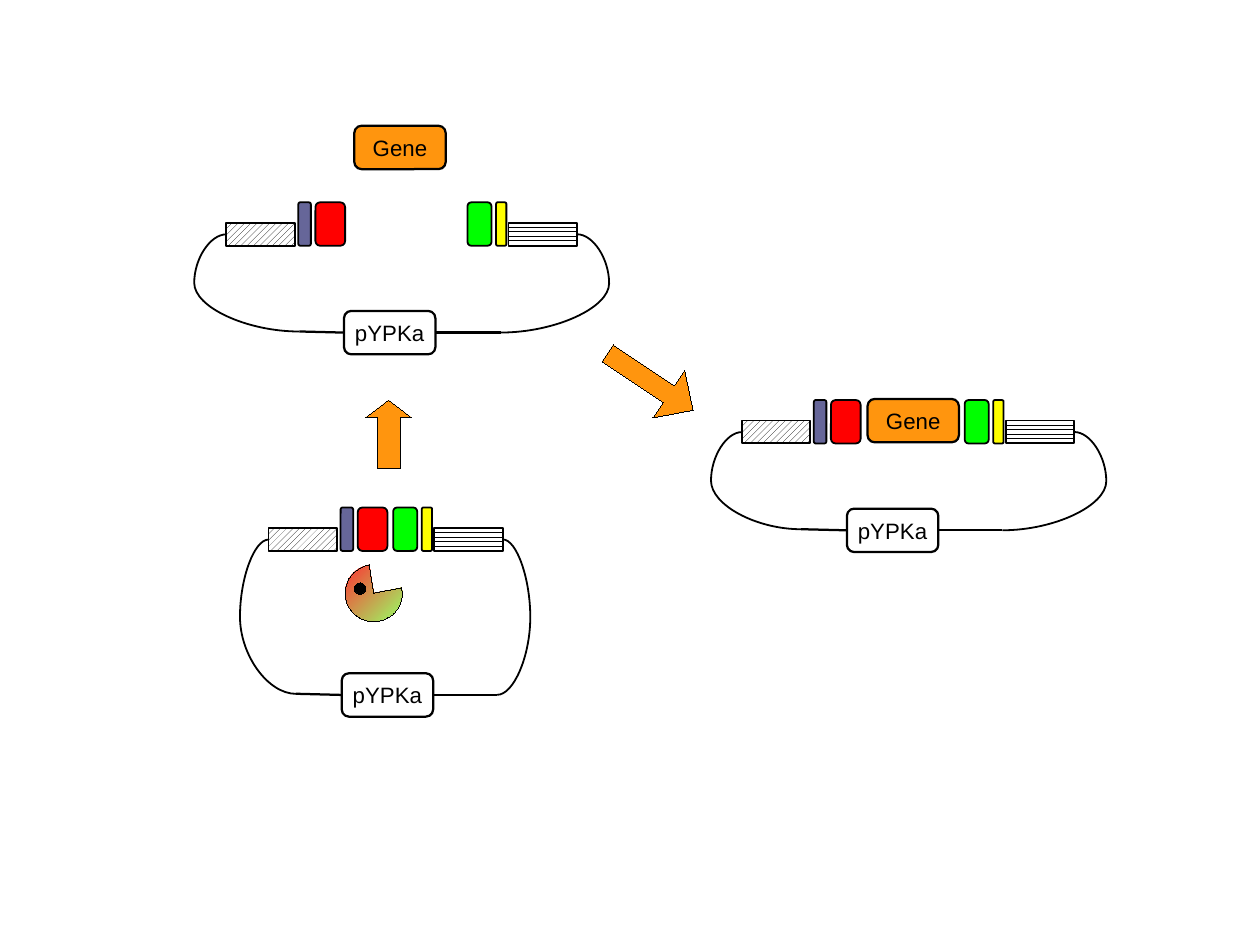
"""Gene cloning into the pYPKa plasmid: cut, insert, and joined product."""
from pptx import Presentation
from pptx.dml.color import RGBColor as RGB
from pptx.enum.dml import MSO_PATTERN as Hatch
from pptx.enum.shapes import MSO_CONNECTOR as Link, MSO_SHAPE as Kind
from pptx.enum.text import MSO_ANCHOR as Anchor, PP_ALIGN as Align
from pptx.oxml.ns import qn
from pptx.util import Inches, Pt
from lxml import etree

INK = {
    "black": "000000", "white": "FFFFFF", "gene": "FF950E",
    "violet": "666699", "red": "FF0000", "green": "00FF00",
    "yellow": "FFFF00", "warm": "FF3333", "fresh": "99FF66",
}
HAIR, THIN, THICK = 0.01, 1.13, 1.42

deck = Presentation()
deck.slide_width, deck.slide_height = Inches(28 / 2.54), Inches(21 / 2.54)
slide = deck.slides.add_slide(deck.slide_layouts[6])


def draw(kind, box, fill=None, width=THIN, adj=(), text=None):
    shape = slide.shapes.add_shape(kind, *[Inches(v) for v in box])
    shape.shadow.inherit = False
    for i, val in enumerate(adj):
        shape.adjustments[i] = val
    if fill is None:
        shape.fill.background()
    elif fill in INK:
        shape.fill.solid()
        shape.fill.fore_color.rgb = RGB.from_string(INK[fill])
    else:
        shape.fill.patterned()
        shape.fill.pattern = fill
        shape.fill.fore_color.rgb = RGB.from_string(INK["black"])
        shape.fill.back_color.rgb = RGB.from_string(INK["white"])
    shape.line.color.rgb = RGB.from_string(INK["black"])
    shape.line.width = Pt(width)
    if text:
        frame = shape.text_frame
        frame.word_wrap = False
        frame.vertical_anchor = Anchor.MIDDLE
        frame.margin_left = frame.margin_right = Inches(0.11)
        frame.margin_top = frame.margin_bottom = Inches(0.06)
        para = frame.paragraphs[0]
        para.alignment = Align.CENTER
        run = para.add_run()
        run.text = text
        run.font.name, run.font.size = "Arial", Pt(14)
        run.font.color.rgb = RGB.from_string(INK["black"])
    return shape


def join(start, end, bend=None):
    kind = Link.STRAIGHT if bend is None else Link.CURVE
    wire = slide.shapes.add_connector(kind, *[Inches(v) for v in start + end])
    wire.line.color.rgb = RGB.from_string(INK["black"])
    wire.line.width = Pt(THICK if bend is None else THIN)
    props = wire._element.spPr
    etree.SubElement(props, qn("a:effectLst"))
    if bend is not None:
        ratio = (bend - start[0]) / (end[0] - start[0])
        guides = props.find(qn("a:prstGeom")).get_or_add_avLst()
        etree.SubElement(guides, qn("a:gd"), name="adj1",
                         fmla=f"val {round(ratio * 100000)}")
        if end[0] > start[0]:
            frame = props.find(qn("a:xfrm"))
            for key, val in (("rot", "10800000"), ("flipH", "1"), ("flipV", "1")):
                frame.set(key, val)


# left, top, green site, label left, label top, feet, bends
PLASMIDS = [
    (1.98, 1.95, 4.09, 3.01, 2.72, (2.62, 4.38), (1.70, 5.33)),
    (2.35, 4.62, 3.44, 2.99, 5.89, (2.59, 4.35), (2.10, 4.64)),
    (6.49, 3.68, 8.44, 7.41, 4.45, (7.01, 8.77), (6.22, 9.68)),
]
for left, top, site, tag, low, feet, bends in PLASMIDS:
    stripe = site + 0.36
    draw(Kind.RECTANGLE, (left, top, 0.6, 0.2), Hatch.WIDE_UPWARD_DIAGONAL)
    draw(Kind.RECTANGLE, (stripe, top, 0.6, 0.2), Hatch.HORIZONTAL)
    for x, wide, tint in (
        (left + 0.63, 0.11, "violet"), (left + 0.78, 0.26, "red"),
        (site, 0.21, "green"), (site + 0.25, 0.09, "yellow"),
    ):
        draw(Kind.ROUNDED_RECTANGLE, (x, top - 0.18, wide, 0.38), tint, adj=[0.16])
    draw(Kind.ROUNDED_RECTANGLE, (tag, low, 0.8, 0.38), None, THICK, [0.167], "pYPKa")
    mid = low + 0.19
    ends = (left, stripe + 0.6)
    for end, foot, bend, edge, drop in zip(ends, feet, bends, (tag, tag + 0.8), (0.01, 0)):
        join((end, top + 0.1), (foot, mid - drop), bend)
        join((edge, mid), (foot, mid - drop))

for x, y in ((7.59, 3.49), (3.1, 1.1)):
    draw(Kind.ROUNDED_RECTANGLE, (x, y, 0.8, 0.38), "gene", THICK, [0.167], "Gene")

enzyme = draw(Kind.PIE, (3.02, 4.94, 0.5, 0.5), None, HAIR, [349 * 0.6, 261 * 0.6])
enzyme.fill.gradient()
enzyme.fill.gradient_angle = 315
for stop, tint in zip(enzyme.fill.gradient_stops, ("warm", "fresh")):
    stop.color.rgb = RGB.from_string(INK[tint])

arrow = draw(Kind.RIGHT_ARROW, (5.24, 3.09, 0.9, 0.5), "gene", HAIR, [0.35, 0.51])
arrow.rotation = 33.7
draw(Kind.UP_ARROW, (3.2, 3.5, 0.4, 0.6), "gene", HAIR, [0.5, 0.38])
draw(Kind.OVAL, (3.1, 5.1, 0.1, 0.1), "black", HAIR)

deck.save("out.pptx")
